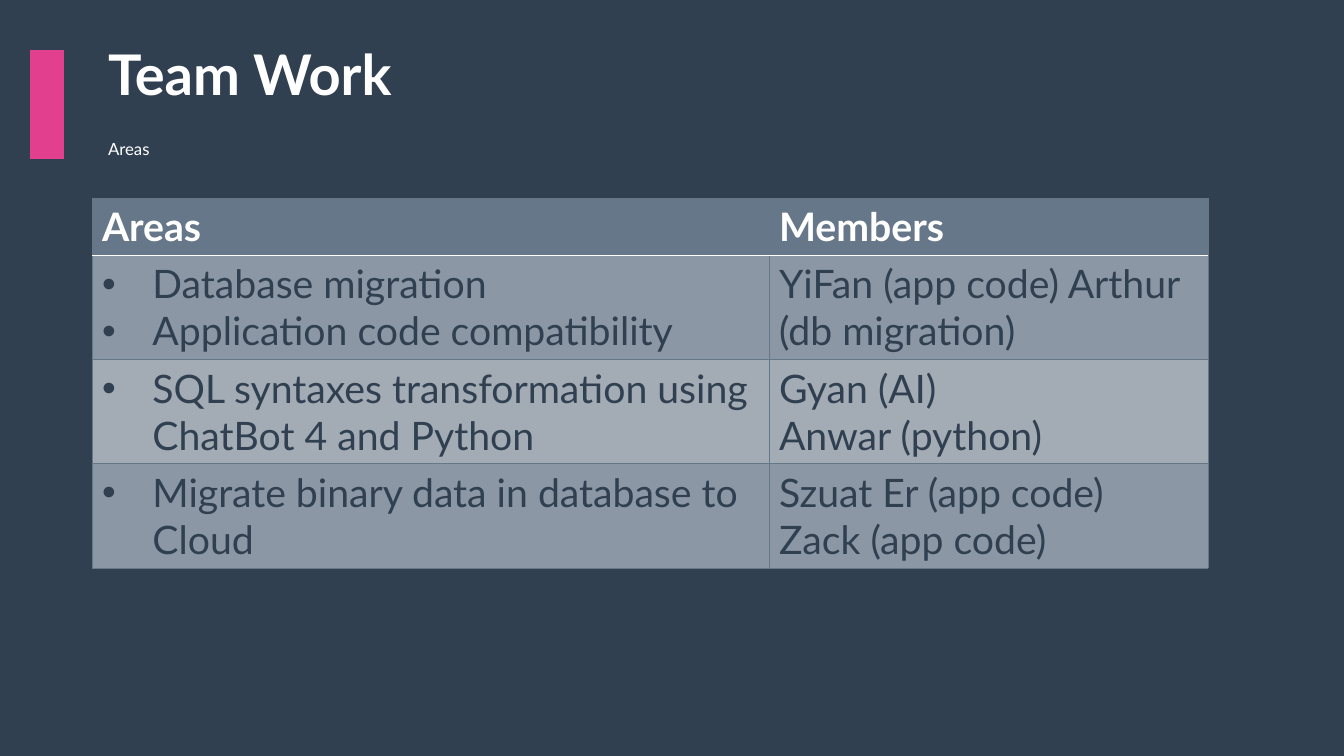
from dataclasses import dataclass
from typing import Optional

import pptx
import pptx.dml.color
import pptx.enum.text
import pptx.oxml.ns
import pptx.util
from lxml import etree

FONT = "Lato"
NAVY, SLATE, PINK, WHITE = "304050", "657788", "E2408E", "FFFFFF"
BANDS = ("8B97A5", "A3ABB5")


@dataclass(frozen=True)
class Grid:
    left: int
    top: int
    widths: tuple[int, ...]
    heights: tuple[int, ...]


@dataclass(frozen=True)
class Rule:
    ink: str
    points: float


@dataclass(frozen=True)
class TeamRow:
    areas: tuple[str, ...]
    members: tuple[str, ...]


HEADING_GRID = Grid(30, 50, (34, 34, 450), (68, 40))
TEAM_GRID = Grid(92, 198, (677, 439), (57, 104, 104, 104))
SLATE_RULE, WHITE_RULE = Rule(SLATE, 0.5), Rule(WHITE, 1)
TEAM_ROWS = (
    TeamRow(("Database migration", "Application code compatibility"),
            ("YiFan (app code) Arthur (db migration)",)),
    TeamRow(("SQL syntaxes transformation using ChatBot 4 and Python",),
            ("Gyan (AI)", "Anwar (python)")),
    TeamRow(("Migrate binary data in database to Cloud",),
            ("Szuat Er (app code)", "Zack (app code)")),
)


def px(count: int) -> int:
    return pptx.util.Emu(round(count * 914400 / 100.8))


def color(value: str) -> pptx.dml.color.RGBColor:
    return pptx.dml.color.RGBColor.from_string(value)


def write(frame, lines: tuple[str, ...], *, size: int, ink: str = WHITE, bold: bool = False,
          bullet: bool = False, spacing: Optional[float] = None) -> None:
    """Fill a text frame with one paragraph per line."""
    for index, line in enumerate(lines):
        para = frame.paragraphs[0] if index == 0 else frame.add_paragraph()
        if spacing is not None:
            para.line_spacing = spacing
        if bullet:
            properties = para._p.get_or_add_pPr()
            properties.set("marL", "457200")
            properties.set("indent", "-457200")
            etree.SubElement(properties, pptx.oxml.ns.qn("a:buFont"), typeface="Arial")
            etree.SubElement(properties, pptx.oxml.ns.qn("a:buChar"), char="•")
        span = para.add_run()
        span.text = line
        span.font.name = FONT
        span.font.size = pptx.util.Pt(size)
        span.font.bold = bold
        span.font.color.rgb = color(ink)


def format_cell(cell, fill: Optional[str] = None, *, side: Optional[Rule] = None,
                top: Optional[Rule] = None, bottom: Optional[Rule] = None) -> None:
    """Draw the borders first, since the fill must follow them in the XML."""
    for edge, rule in zip("LRTB", (side, side, top, bottom)):
        line = etree.SubElement(cell._tc.get_or_add_tcPr(), pptx.oxml.ns.qn(f"a:ln{edge}"))
        if rule is None:
            etree.SubElement(line, pptx.oxml.ns.qn("a:noFill"))
        else:
            line.set("w", str(pptx.util.Pt(rule.points)))
            paint = etree.SubElement(line, pptx.oxml.ns.qn("a:solidFill"))
            etree.SubElement(paint, pptx.oxml.ns.qn("a:srgbClr"), val=rule.ink)
    if fill is None:
        cell.fill.background()
    else:
        cell.fill.solid()
        cell.fill.fore_color.rgb = color(fill)


def add_grid(page, grid: Grid):
    """Add a plain table with the widths and heights of a grid."""
    table = page.shapes.add_table(len(grid.heights), len(grid.widths), px(grid.left),
                                  px(grid.top), px(sum(grid.widths)),
                                  px(sum(grid.heights))).table
    table.first_row = table.horz_banding = False
    for column, width in zip(table.columns, grid.widths):
        column.width = px(width)
    for row, height in zip(table.rows, grid.heights):
        row.height = px(height)
    return table


def add_heading_table(page) -> None:
    table = add_grid(page, HEADING_GRID)

    # Accent bar and gap, each spanning both rows
    for column in (0, 1):
        table.cell(0, column).merge(table.cell(1, column))
        for row in (0, 1):
            format_cell(table.cell(row, column), None if column else PINK)

    # Title and subtitle
    title, subtitle = table.cell(0, 2), table.cell(1, 2)
    format_cell(title)
    title.margin_top = px(8)
    write(title.text_frame, ("Team Work",), size=40, bold=True, spacing=0.7)
    format_cell(subtitle)
    subtitle.margin_bottom = 0
    subtitle.vertical_anchor = pptx.enum.text.MSO_ANCHOR.BOTTOM
    write(subtitle.text_frame, ("Areas",), size=12)


def add_team_table(page) -> None:
    table = add_grid(page, TEAM_GRID)

    # Header row
    for column, label in enumerate(("Areas", "Members")):
        cell = table.cell(0, column)
        format_cell(cell, SLATE, side=SLATE_RULE, top=SLATE_RULE, bottom=WHITE_RULE)
        write(cell.text_frame, (label,), size=28, bold=True)

    # Team rows
    for index, team in enumerate(TEAM_ROWS):
        for column, lines in enumerate((team.areas, team.members)):
            cell = table.cell(index + 1, column)
            format_cell(cell, BANDS[index % 2], side=SLATE_RULE,
                        top=SLATE_RULE if index else WHITE_RULE, bottom=SLATE_RULE)
            write(cell.text_frame, lines, size=28, ink=NAVY, bullet=column == 0)


def main() -> None:
    deck = pptx.Presentation()
    deck.slide_width, deck.slide_height = px(1344), px(756)
    page = deck.slides.add_slide(deck.slide_layouts[6])
    page.background.fill.solid()
    page.background.fill.fore_color.rgb = color(NAVY)
    add_heading_table(page)
    add_team_table(page)
    deck.save("out.pptx")


if __name__ == "__main__":
    main()
